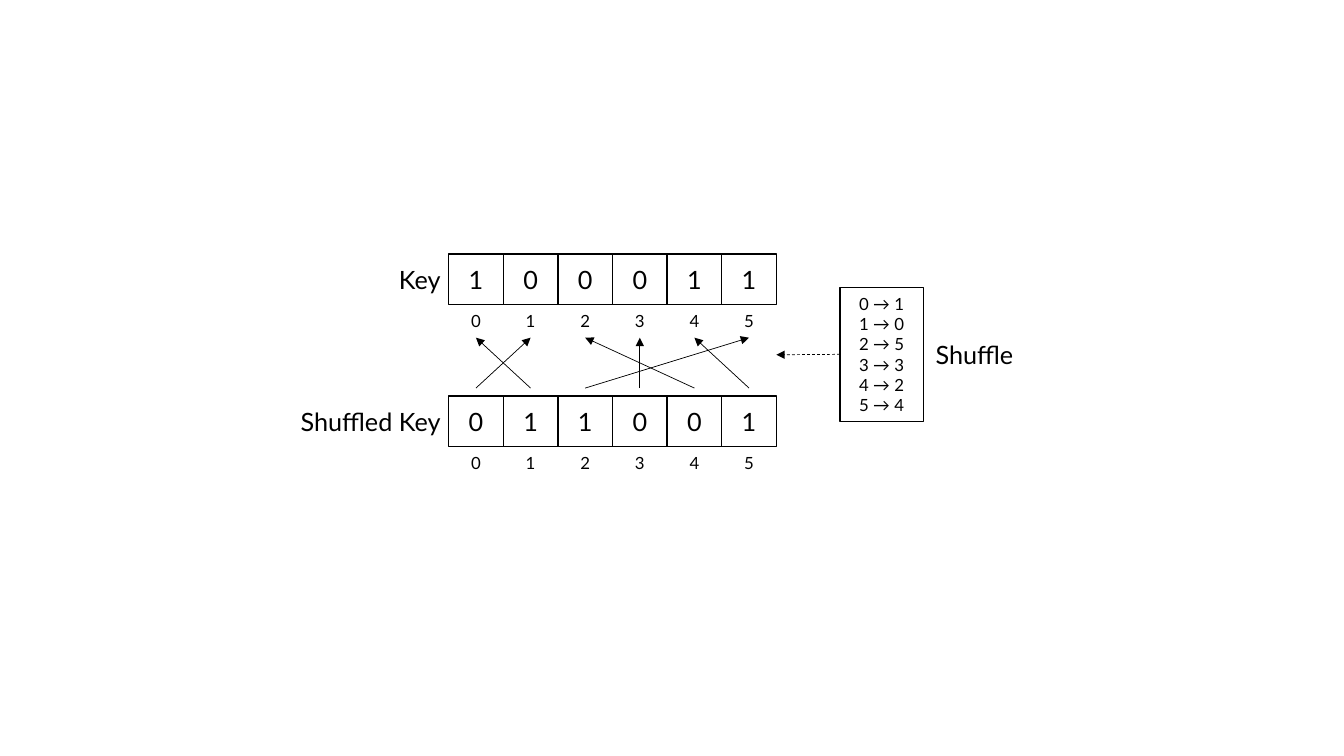
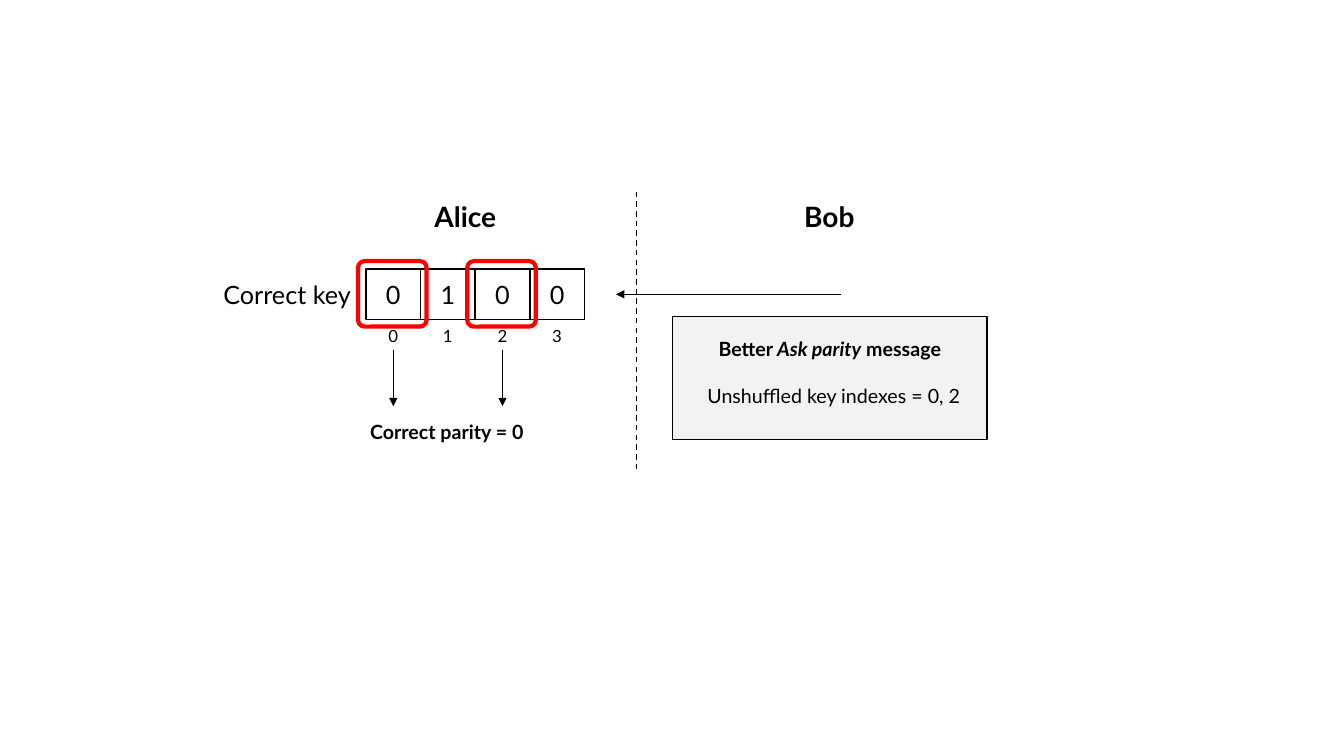
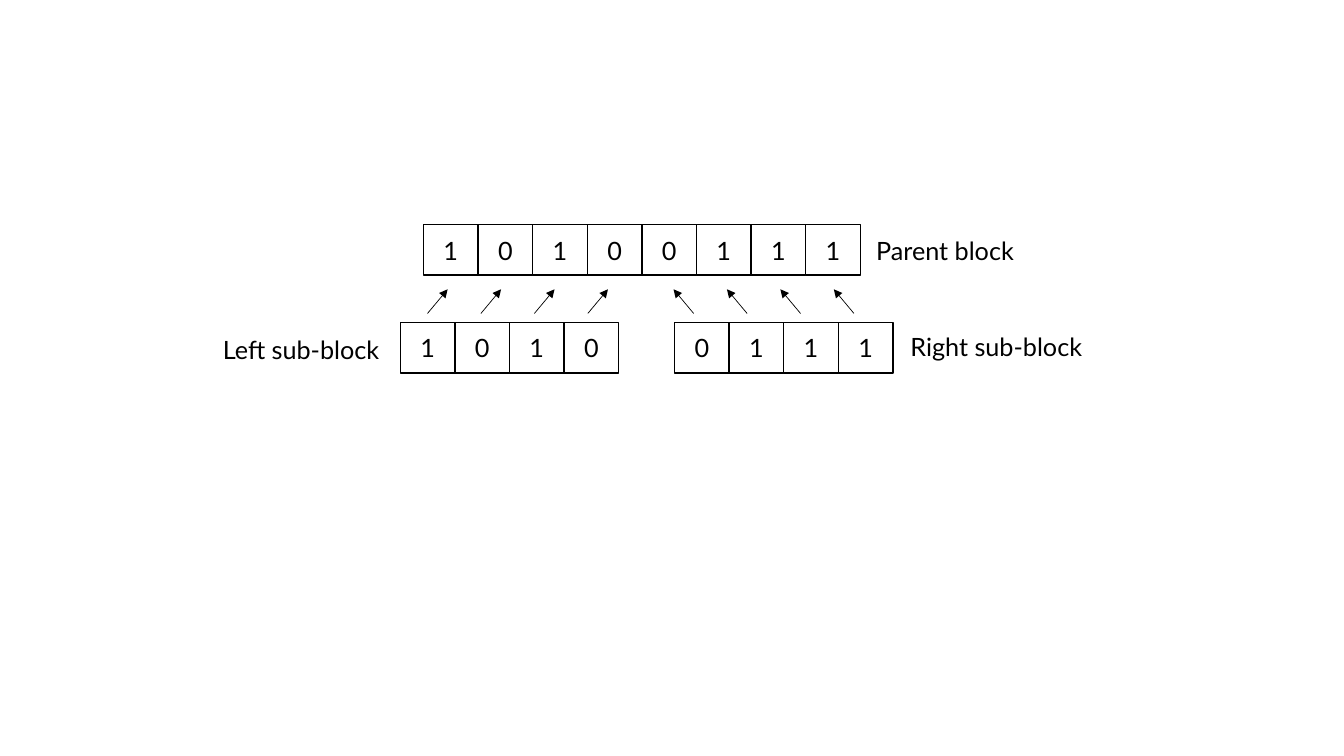
from lxml.etree import SubElement
from pptx import Presentation
from pptx.dml.color import RGBColor
from pptx.enum.dml import MSO_LINE
from pptx.enum.shapes import MSO_CONNECTOR, MSO_SHAPE
from pptx.enum.text import MSO_ANCHOR as ANCHOR, PP_ALIGN as ALIGN
from pptx.oxml.ns import qn
from pptx.util import Inches, Pt

FONT = "Lato"
BLACK, GREY, RED = "000000", "F2F2F2", "FF0000"
CELL_W, CELL_H, INDEX_H = 3.25 / 6, 0.5, 0.26


def rgb(color):
    """Turn a hex string into a colour."""
    return RGBColor.from_string(color)


def box(left, top, width, height):
    """Convert a rectangle in inches to lengths."""
    return [Inches(v) for v in (left, top, width, height)]


def add_run(p, text, size=18, bold=False, italic=False):
    """Append a formatted run to a paragraph."""
    r = p.add_run()
    r.text = text
    r.font.name, r.font.size = FONT, Pt(size)
    r.font.bold, r.font.italic = bold, italic
    r.font.color.rgb = rgb(BLACK)


def set_text(sp, text, align=ALIGN.CENTER, anchor=ANCHOR.MIDDLE, **fmt):
    """Fill a shape with one paragraph per line of text."""
    tf = sp.text_frame
    tf.word_wrap = True
    tf.vertical_anchor = anchor
    tf.margin_left = tf.margin_top = tf.margin_right = tf.margin_bottom = 0
    for i, line in enumerate(text.split("\n")):
        p = tf.add_paragraph() if i else tf.paragraphs[0]
        p.alignment = align
        add_run(p, line, **fmt)


def add_label(shapes, text, left, top, width, height=CELL_H, **fmt):
    """Add a text box."""
    set_text(shapes.add_textbox(*box(left, top, width, height)), text, **fmt)


def add_box(shapes, left, top, width, height, kind=MSO_SHAPE.RECTANGLE,
            fill=None, line=BLACK, weight=1):
    """Add an outlined shape."""
    sp = shapes.add_shape(kind, *box(left, top, width, height))
    sp.shadow.inherit = False
    if fill:
        sp.fill.solid()
        sp.fill.fore_color.rgb = rgb(fill)
    else:
        sp.fill.background()
    sp.line.color.rgb = rgb(line)
    sp.line.width = Pt(weight)
    return sp


def add_line(shapes, x1, y1, x2, y2, weight=0.5, dash=False, arrow=True):
    """Add a straight line, with an arrowhead at its end by default."""
    cx = shapes.add_connector(MSO_CONNECTOR.STRAIGHT,
                              *box(x1, y1, x2, y2))
    cx.line.color.rgb = rgb(BLACK)
    cx.line.width = Pt(weight)
    if dash:
        cx.line.dash_style = MSO_LINE.DASH
    if arrow:
        SubElement(cx.line._get_or_add_ln(), qn("a:tailEnd"), type="triangle")
    SubElement(cx._element.spPr, qn("a:effectLst"))
    return cx


def add_bits(shapes, bits, left, top, indexed=False):
    """Add a grouped row of bit cells, with indexes below if asked."""
    cells = shapes.add_group_shape().shapes
    for i, bit in enumerate(bits):
        x = left + i * CELL_W
        set_text(add_box(cells, x, top, CELL_W, CELL_H), bit)
        if indexed:
            add_label(cells, str(i), x, top + CELL_H, CELL_W, INDEX_H,
                      anchor=ANCHOR.BOTTOM, size=12)


def cell_center(left, i):
    """Return the horizontal centre of a cell in a row."""
    return left + (i + 0.5) * CELL_W


def build_shuffle(shapes):
    """Show how a key is shuffled."""
    key, shuffle, left = "100011", (1, 0, 5, 3, 2, 4), 4.45
    shuffled = [key[i] for i in shuffle]
    for name, bits, top in (("Key", key, 2.52), ("Shuffled Key", shuffled, 3.93)):
        add_bits(shapes, bits, left, top, indexed=True)
        add_label(shapes, name, 2.66, top, 1.71, align=ALIGN.RIGHT)
    for source, target in enumerate(shuffle):
        add_line(shapes, cell_center(left, source), 3.85,
                 cell_center(left, target), 3.35)
    rules = add_box(shapes, 8.33, 2.85, 0.83, 1.33)
    set_text(rules, "\n".join(f"{a} → {b}" for a, b in enumerate(shuffle)), size=12)
    add_label(shapes, "Shuffle", 9.28, 3.27, 0.92, align=ALIGN.LEFT)
    add_line(shapes, 8.33, 3.52, 7.7, 3.52, dash=True).begin_connect(rules, 1)


def add_message(shapes):
    """Add the box with the message that Bob sends."""
    sp = add_box(shapes, 6.67, 3.14, 3.12, 1.22, fill=GREY)
    set_text(sp, "Better", anchor=ANCHOR.TOP, size=14, bold=True)
    tf = sp.text_frame
    tf.margin_top = Inches(0.2)
    add_run(tf.paragraphs[0], " Ask parity", size=14, bold=True, italic=True)
    add_run(tf.paragraphs[0], " message", size=14, bold=True)
    p = tf.add_paragraph()
    p.alignment = ALIGN.CENTER
    p.space_before = Pt(16.8)
    p._p.get_or_add_pPr().set("marL", str(Inches(0.08)))
    add_run(p, "Unshuffled key indexes = 0, 2", size=14)


def build_parity(shapes):
    """Show Bob asking Alice for a parity."""
    left = 3.63
    for name, x in (("Alice", 3.97), ("Bob", 7.58)):
        add_label(shapes, name, x, 1.9, 1.29, size=20, bold=True)
    add_bits(shapes, "0100", left, 2.67, indexed=True)
    add_label(shapes, "Correct key", 2.19, 2.67, 1.29, align=ALIGN.RIGHT)
    add_label(shapes, "Correct parity = 0", 3.67, 4.07, 1.65, 0.43,
              align=ALIGN.LEFT, size=14, bold=True)
    add_line(shapes, 6.31, 1.9, 6.31, 4.67, weight=1, dash=True, arrow=False)
    add_line(shapes, 8.34, 2.92, 6.11, 2.92)
    add_message(shapes)
    for i in (0, 2):
        x = cell_center(left, i)
        mark = add_box(shapes, x - 0.35, 2.59, 0.68, 0.65,
                       MSO_SHAPE.ROUNDED_RECTANGLE, line=RED, weight=3)
        mark.adjustments[0] = 0.1
        add_line(shapes, x, 3.47, x, 4.03)


def build_blocks(shapes):
    """Show a parent block and its two sub-blocks."""
    left_bits, right_bits = "1010", "0111"
    add_bits(shapes, left_bits + right_bits, 4.2, 2.23)
    add_bits(shapes, left_bits, 3.97, 3.2)
    add_bits(shapes, right_bits, 6.69, 3.2)
    for start, shift in ((4.24, 0.2), (6.88, -0.2)):
        for i in range(4):
            x = start + 0.53 * i
            add_line(shapes, x, 3.11, x + shift, 2.87)
    for name, x, y, width in (("Parent block", 8.69, 2.18, 1.67),
                              ("Right sub-block", 9.03, 3.14, 2.3),
                              ("Left sub-block", 2.21, 3.17, 1.81)):
        add_label(shapes, name, x, y, width, 0.6, align=ALIGN.LEFT)


def main():
    """Build and save the presentation."""
    prs = Presentation()
    prs.slide_width, prs.slide_height = Inches(13.33), Inches(7.5)
    for build in (build_shuffle, build_parity, build_blocks):
        build(prs.slides.add_slide(prs.slide_layouts[6]).shapes)
    prs.save("out.pptx")


if __name__ == "__main__":
    main()
